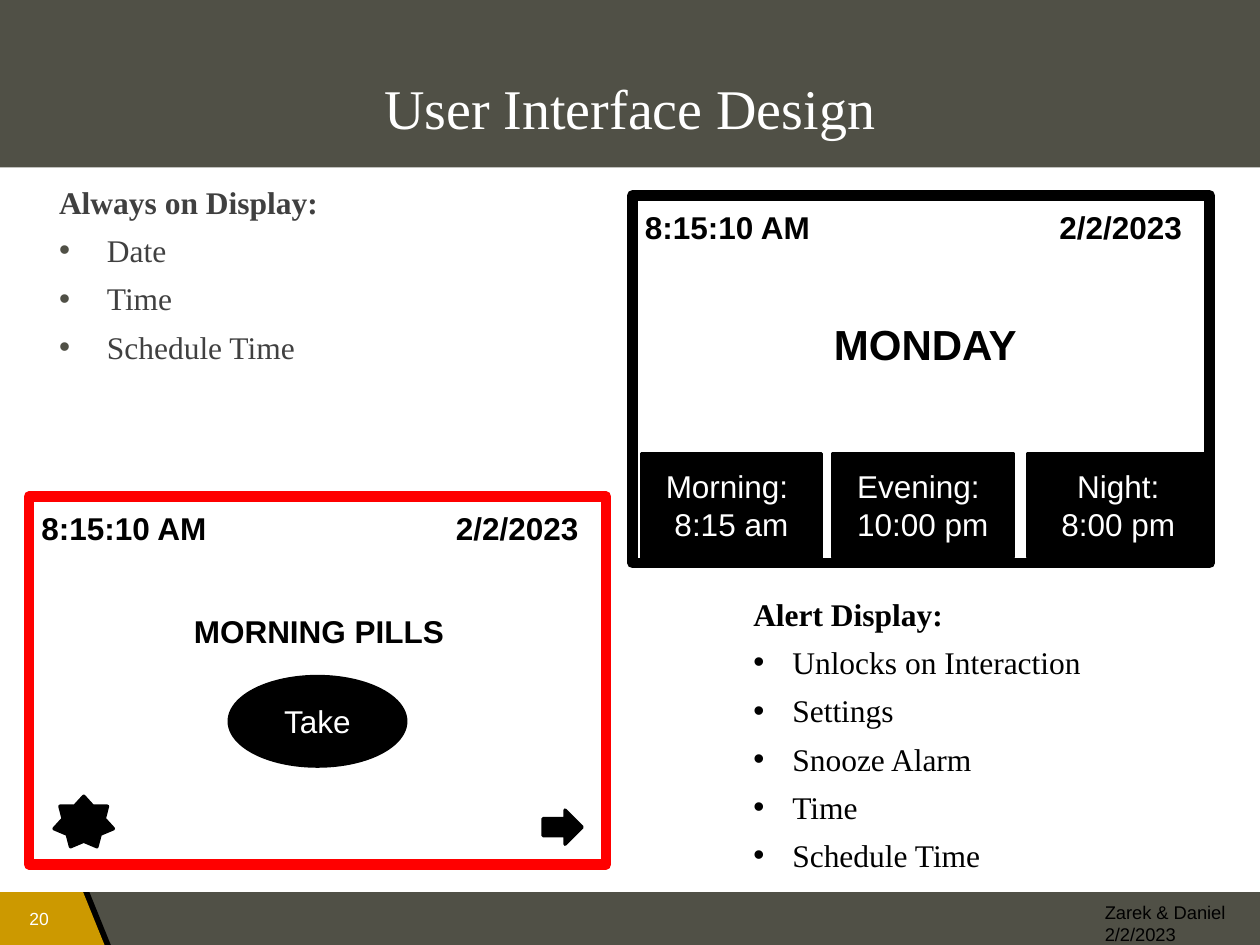
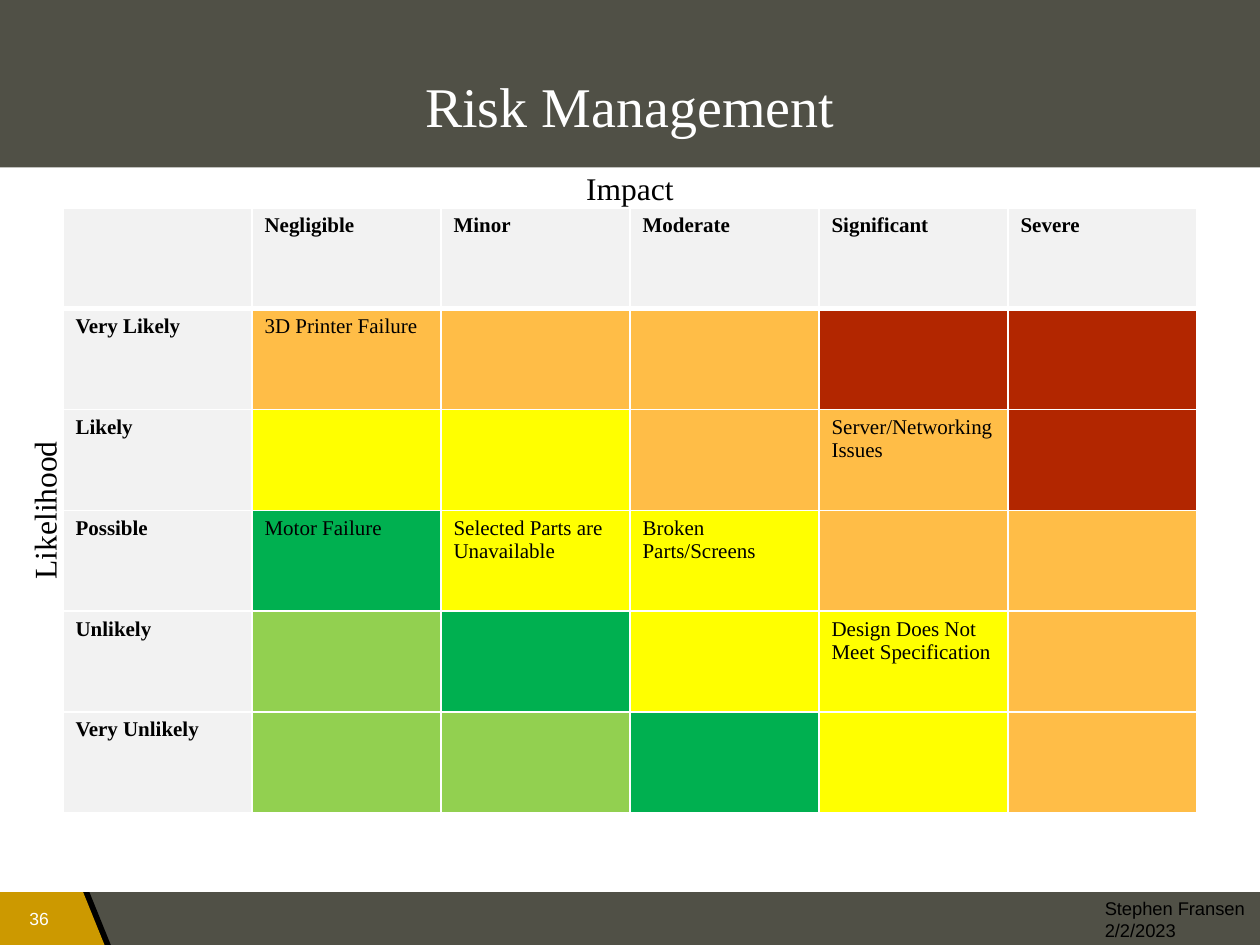
from lxml.etree import SubElement
from pptx import Presentation
from pptx.dml.color import RGBColor
from pptx.enum.shapes import MSO_SHAPE as Shape
from pptx.enum.text import MSO_ANCHOR as Anchor, PP_ALIGN as Align
from pptx.oxml import parse_xml
from pptx.oxml.ns import nsdecls, qn
from pptx.util import Inches, Pt

WIDTH, HEIGHT = 10, 7.5
HEADER_HEIGHT, FOOTER_TOP = 1.33, 7.08
SERIF, SANS = "Times New Roman", "Arial"
COLORS = {
    "band": "505046", "tab": "CC9900", "black": "000000", "white": "FFFFFF",
    "body": "404040", "alarm": "FF0000", "heading": "F2F2F2",
    "red": "B22600", "orange": "FFBD47", "yellow": "FFFF00",
    "green": "00B050", "lime": "92D050",
}

# Content of the interface slide
INTERFACE = {"title": "User Interface Design", "title_top": 0.24, "number": "20",
             "credit": ["Zarek & Daniel", "2/2/2023"], "credit_top": 7.1}
ALWAYS = ["Always on Display:", "Date", "Time", "Schedule Time"]
ALERT = ["Alert Display:", "Unlocks on Interaction", "Settings",
         "Snooze Alarm", "Time", "Schedule Time"]
CLOCK, DATE = "8:15:10 AM", "2/2/2023"
SCREEN_SIZE = (4.58, 2.92)
HOME_SCREEN, ALERT_SCREEN = (5.02, 1.55), (0.23, 3.94)
DOSES = [(5.09, ["Morning: ", "8:15 am"]),
         (6.61, ["Evening: ", "10:00 pm"]),
         (8.16, ["Night:", "8:00 pm"])]

# Content of the risk slide
RISK = {"title": "Risk Management", "title_top": 0.22, "number": "36",
        "credit": ["Stephen Fransen", "2/2/2023"], "credit_top": 7.07}
IMPACTS = ["Negligible", "Minor", "Moderate", "Significant", "Severe"]
LIKELIHOODS = [
    ("Very Likely", "orange orange orange red red"),
    ("Likely", "yellow yellow orange orange red"),
    ("Possible", "green yellow yellow orange orange"),
    ("Unlikely", "lime green yellow yellow orange"),
    ("Very Unlikely", "lime lime green yellow orange"),
]
RISKS = {
    ("Very Likely", "Negligible"): "3D Printer Failure",
    ("Likely", "Significant"): "Server/Networking Issues",
    ("Possible", "Negligible"): "Motor Failure",
    ("Possible", "Minor"): "Selected Parts are Unavailable",
    ("Possible", "Moderate"): "Broken Parts/Screens",
    ("Unlikely", "Significant"): "Design Does Not Meet Specification",
}
TABLE_LEFT, TABLE_TOP, COLUMN_WIDTH, ROW_HEIGHT = 0.5, 1.65, 1.5, 0.8


def rgb(name):
    return RGBColor.from_string(COLORS[name])


def inches(*values):
    return [Inches(value) for value in values]


def write(paragraph, text, color="black", align=Align.LEFT, **font):
    """Add one run; font holds name, size and bold."""
    paragraph.alignment = align
    run = paragraph.add_run()
    run.text = text
    run.font.color.rgb = rgb(color)
    for key, value in {"name": SANS, "size": 18, "bold": False, **font}.items():
        setattr(run.font, key, Pt(value) if key == "size" else value)


def fill_text(frame, lines, anchor=Anchor.TOP, **style):
    frame.word_wrap = True
    frame.vertical_anchor = anchor
    for index, line in enumerate(lines):
        paragraph = frame.add_paragraph() if index else frame.paragraphs[0]
        write(paragraph, line, **style)


def add_text(slide, box, lines, **style):
    textbox = slide.shapes.add_textbox(*inches(*box))
    fill_text(textbox.text_frame, lines, **style)
    return textbox


def paint(shape, fill=None, line=None, weight=2):
    shape.shadow.inherit = False
    if fill:
        shape.fill.solid()
        shape.fill.fore_color.rgb = rgb(fill)
    else:
        shape.fill.background()
    if line:
        shape.line.color.rgb = rgb(line)
        shape.line.width = Pt(weight)
    else:
        shape.line.fill.background()


def add_figure(slide, kind, box, **look):
    shape = slide.shapes.add_shape(kind, *inches(*box))
    paint(shape, **look)
    return shape


def add_tab(slide, left, color):
    """Slanted tab standing on the bottom edge."""
    corners = [(left, FOOTER_TOP), (left + 0.66, FOOTER_TOP),
               (left + 0.83, HEIGHT), (left, HEIGHT)]
    points = [inches(*corner) for corner in corners]
    builder = slide.shapes.build_freeform(*points[0], scale=1.0)
    builder.add_line_segments(points[1:], close=True)
    paint(builder.convert_to_shape(), color)


def add_base_slide(presentation, content):
    """Bands, tab, number, title and credit shared by all slides."""
    slide = presentation.slides.add_slide(presentation.slide_layouts[6])
    bands = [(0, FOOTER_TOP, WIDTH, HEIGHT - FOOTER_TOP), (0, 0, WIDTH, HEADER_HEIGHT)]
    for band in bands:
        add_figure(slide, Shape.RECTANGLE, band, fill="band")
    for left, color in [(0.05, "black"), (0, "tab")]:
        add_tab(slide, left, color)
    add_text(slide, (0.1, 7.14, 0.42, 0.3), [content["number"]], size=10,
             color="white", align=Align.CENTER, anchor=Anchor.MIDDLE)
    add_text(slide, (1, content["title_top"], 8, 0.93), [content["title"]], size=32,
             name=SERIF, color="white", align=Align.CENTER, anchor=Anchor.BOTTOM)
    add_text(slide, (8.67, content["credit_top"], 1.33, 0.4), content["credit"], size=10.5)
    return slide


def add_bullets(slide, box, lines, indent, color, bullet_color):
    """Bold heading followed by bulleted items."""
    frame = add_text(slide, box, lines, name=SERIF, color=color).text_frame
    heading, *items = frame.paragraphs
    heading.runs[0].font.bold = True
    heading.space_after = Pt(3)
    for paragraph in items:
        properties = paragraph._p.get_or_add_pPr()
        properties.set("marL", str(Inches(indent)))
        properties.set("indent", str(-Inches(indent)))
        tint = SubElement(properties, qn("a:buClr"))
        SubElement(tint, qn("a:srgbClr")).set("val", COLORS[bullet_color])
        SubElement(properties, qn("a:buFont")).set("typeface", SANS)
        SubElement(properties, qn("a:buChar")).set("char", "•")
        paragraph.space_before = paragraph.space_after = Pt(3)


def add_screen(slide, corner, color):
    """Device screen with its clock and date."""
    left, top = corner
    add_figure(slide, Shape.RECTANGLE, (*corner, *SCREEN_SIZE), line=color, weight=6)
    for offset, width, text in [(0, 2.37, CLOCK), (3.29, 1.36, DATE)]:
        add_text(slide, (left + offset, top + 0.05, width, 0.4), [text], bold=True)


def add_button(slide, kind, box, lines):
    button = add_figure(slide, kind, box, fill="black", line="black")
    fill_text(button.text_frame, lines, color="white", align=Align.CENTER,
              anchor=Anchor.MIDDLE)


def build_interface(presentation):
    slide = add_base_slide(presentation, INTERFACE)
    add_bullets(slide, (0.37, 1.4, 3.81, 3.35), ALWAYS, 0.38, "body", "band")

    # Home screen with the three doses
    add_screen(slide, HOME_SCREEN, "black")
    add_text(slide, (6.52, 2.48, 1.86, 0.5), ["MONDAY"], size=24, bold=True)
    for left, lines in DOSES:
        add_button(slide, Shape.RECTANGLE, (left, 3.6, 1.43, 0.82), lines)

    # Alert screen with its controls
    add_screen(slide, ALERT_SCREEN, "alarm")
    add_text(slide, (1.44, 4.81, 2.49, 0.4), ["MORNING PILLS"], bold=True)
    add_button(slide, Shape.OVAL, (1.82, 5.37, 1.4, 0.71), ["Take"])
    for kind, box in [(Shape.RIGHT_ARROW, (4.31, 6.43, 0.31, 0.27)),
                      (Shape.STAR_7_POINT, (0.43, 6.32, 0.47, 0.4))]:
        add_figure(slide, kind, box, fill="black", line="black")
    add_bullets(slide, (5.88, 4.67, 3.42, 2.27), ALERT, 0.31, "black", "black")


def set_borders(cell, top, bottom):
    """White cell borders; they precede the fill in the cell properties."""
    properties = cell._tc.get_or_add_tcPr()
    for index, (side, weight) in enumerate(
            [("L", 1), ("R", 1), ("T", top), ("B", bottom)]):
        properties.insert(index, parse_xml(
            f'<a:ln{side} {nsdecls("a")} w="{Pt(weight)}"><a:solidFill>'
            f'<a:srgbClr val="{COLORS["white"]}"/></a:solidFill></a:ln{side}>'))


def build_risk(presentation):
    slide = add_base_slide(presentation, RISK)

    # Each cell is a text and a fill
    grid = [[(text, "heading") for text in ["", *IMPACTS]]]
    for likelihood, fills in LIKELIHOODS:
        cells = [(RISKS.get((likelihood, impact), ""), fill)
                 for impact, fill in zip(IMPACTS, fills.split())]
        grid.append([(likelihood, "heading"), *cells])

    # Risk matrix
    rows, columns = len(grid), len(grid[0])
    table = slide.shapes.add_table(rows, columns, *inches(
        TABLE_LEFT, TABLE_TOP, columns * COLUMN_WIDTH, rows * ROW_HEIGHT)).table
    table.first_row = table.horz_banding = False
    for row, cells in enumerate(grid):
        for column, (text, fill) in enumerate(cells):
            cell = table.cell(row, column)
            cell.fill.solid()
            cell.fill.fore_color.rgb = rgb(fill)
            set_borders(cell, 3 if row == 1 else 1, 3 if row == 0 else 1)
            if text:
                write(cell.text_frame.paragraphs[0], text, name=SERIF, size=12,
                      bold=fill == "heading")

    # Axis names
    for box, text, angle in [((3.75, 1.29, 2.5, 0.4), "Impact", 0),
                             ((-0.77, 3.85, 2.24, 0.4), "Likelihood", 270)]:
        label = add_text(slide, box, [text], name=SERIF, align=Align.CENTER)
        label.rotation = angle


def main():
    presentation = Presentation()
    presentation.slide_width, presentation.slide_height = inches(WIDTH, HEIGHT)
    build_interface(presentation)
    build_risk(presentation)
    presentation.save("out.pptx")


if __name__ == "__main__":
    main()
